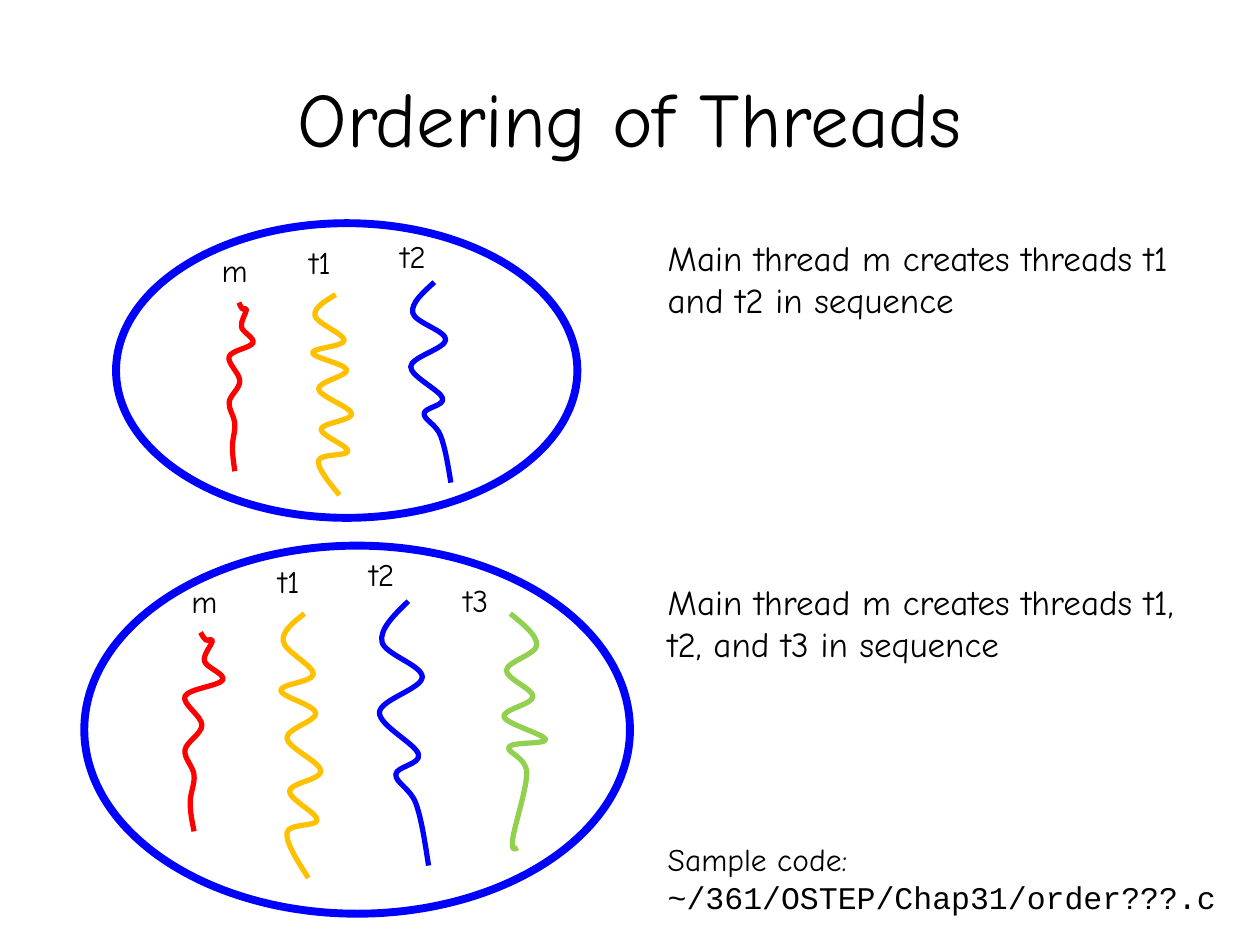
from lxml.etree import SubElement
from pptx import Presentation
from pptx.dml.color import RGBColor
from pptx.enum.shapes import MSO_SHAPE
from pptx.enum.text import MSO_ANCHOR, PP_ALIGN
from pptx.oxml.ns import qn
from pptx.util import Cm, Pt

BLUE = "0000FF"
WAVES = {
    "m": ("FF0000", [(7, 159), (4, 136), (7, 114), (0, 94), (13, 74), (0, 51),
                     (29, 38), (15, 23), (21, 7), (16, 6), (12, 0)]),
    "t1": ("FFC000", [(19, 0), (2, 22), (26, 48), (0, 61), (28, 79), (5, 99),
                      (32, 125), (7, 141), (29, 164), (5, 174), (22, 210)]),
    "t2": (BLUE, [(23, 0), (2, 32), (34, 60), (0, 88), (31, 121), (13, 137),
                  (29, 160), (39, 209)]),
    "t3": ("92D050", [(5, 0), (26, 25), (2, 45), (23, 66), (0, 82), (33, 100),
                      (4, 106), (18, 126), (7, 179), (11, 186)]),
}
WIDTHS = {"m": 1.02, "t1": 1.12, "t2": 1.35, "t3": 1.22}
GROUPS = [
    ((1.7, 11, 11, 7.42), 11.58, "Main thread m creates threads t1, t2, and t3 in sequence", {
        "m": ((3.61, 11.61), (3.73, 12.75, 0.76, 4.01)),
        "t1": ((5.36, 11.2), (5.66, 12.37, 0.81, 5.33)),
        "t2": ((7.19, 11.07), (7.65, 12.12, 0.99, 5.33)),
        "t3": ((9.09, 11.58), (10.16, 12.37, 0.84, 4.72)),
    }),
    ((2.34, 4.5, 9.3, 5.94), 4.65, "Main thread m creates threads t1 and t2 in sequence", {
        "m": ((4.22, 4.93), (4.62, 6.1, 0.48, 3.4)),
        "t1": ((5.99, 4.78), (6.3, 5.94, 0.79, 4.04)),
        "t2": ((7.82, 4.65), (8.28, 5.69, 0.81, 4.04)),
    }),
]


def color(code):
    return RGBColor.from_string(code)


def bend(track):
    dots = [(int(dot.get("x")), int(dot.get("y"))) for dot in track.iter(qn("a:pt"))]
    last = len(dots) - 1

    def lean(i, sign):
        prev, here, after = dots[i - 1:i + 2]
        return [h + sign * (a - p) / 6 for p, h, a in zip(prev, here, after)]

    def mid(one, two):
        return [(a + b) / 2 for a, b in zip(one, two)]

    for line in track.findall(qn("a:lnTo")):
        track.remove(line)
    for i in range(last):
        start = lean(i, 1) if i else mid(dots[0], lean(1, -1))
        end = lean(i + 1, -1) if i + 1 < last else mid(dots[last], start)
        curve = SubElement(track, qn("a:cubicBezTo"))
        for x, y in (start, end, dots[i + 1]):
            SubElement(curve, qn("a:pt"), x=str(round(x)), y=str(round(y)))


class Deck:
    font = {"name": "Comic Neue", "size": Pt(18)}
    ink = "000000"

    def __init__(self):
        self.file = Presentation()
        self.file.slide_width, self.file.slide_height = Cm(25.4), Cm(19.05)
        self.slide = self.file.slides.add_slide(self.file.slide_layouts[5])
        self.shapes = self.slide.shapes

    def place(self, shape, box):
        for key, size in zip(("left", "top", "width", "height"), box):
            setattr(shape, key, Cm(size))

    def style(self, para, **extra):
        for key, value in {**self.font, **extra}.items():
            setattr(para.font, key, value)
        para.font.color.rgb = color(self.ink)

    def outline(self, shape, code, width):
        shape.shadow.inherit = False
        shape.fill.background()
        shape.line.color.rgb = color(code)
        shape.line.width = Pt(width)

    def title(self, text, box):
        shape = self.shapes.title
        self.place(shape, box)
        frame = shape.text_frame
        frame.text = text
        frame.vertical_anchor = MSO_ANCHOR.MIDDLE
        para = frame.paragraphs[0]
        para.alignment = PP_ALIGN.CENTER
        self.style(para, size=Pt(44))

    def text(self, lines, box, wrap=True, **extra):
        frame = self.shapes.add_textbox(*map(Cm, box)).text_frame
        frame.word_wrap = wrap
        frame.text = "\n".join(lines)
        for para in frame.paragraphs:
            self.style(para, **extra)
        return frame

    def oval(self, box):
        shape = self.shapes.add_shape(MSO_SHAPE.OVAL, *map(Cm, box))
        self.outline(shape, BLUE, 4.5)

    def wave(self, code, knots, box):
        dots = [(x * 100, y * 100) for x, y in knots]
        form = self.shapes.build_freeform(*dots[0], scale=Cm(0.01))
        form.add_line_segments(dots[1:], close=False)
        shape = form.convert_to_shape()
        bend(shape.element.find(".//" + qn("a:path")))
        self.place(shape, box)
        self.outline(shape, code, 3)


def main():
    deck = Deck()
    deck.title("Ordering of Threads", (1.27, 0.76, 22.86, 3.18))
    for oval, top, note, threads in GROUPS:
        deck.oval(oval)
        for name, (spot, box) in threads.items():
            deck.wave(*WAVES[name], box)
            deck.text([name], (*spot, WIDTHS[name], 1.02), wrap=name != "m")
        deck.text([note], (13.21, top, 11.51, 1.96), size=Pt(20))
    code = deck.text(["Sample code:", "~/361/OSTEP/Chap31/order???.c"], (13.21, 16.81, 12.7, 1.8))
    deck.style(code.paragraphs[1], name="Courier New")
    deck.file.save("out.pptx")


if __name__ == "__main__":
    main()
